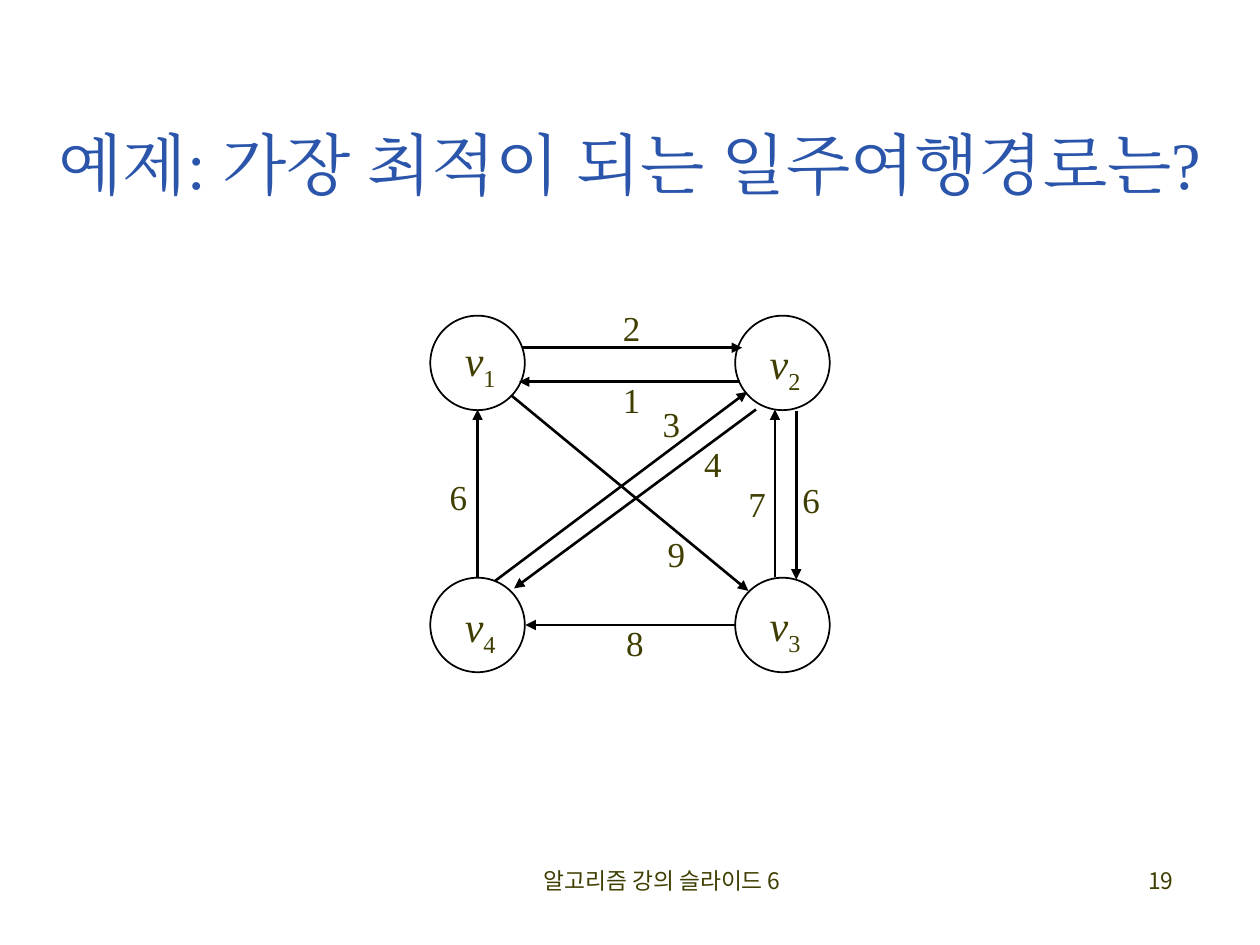
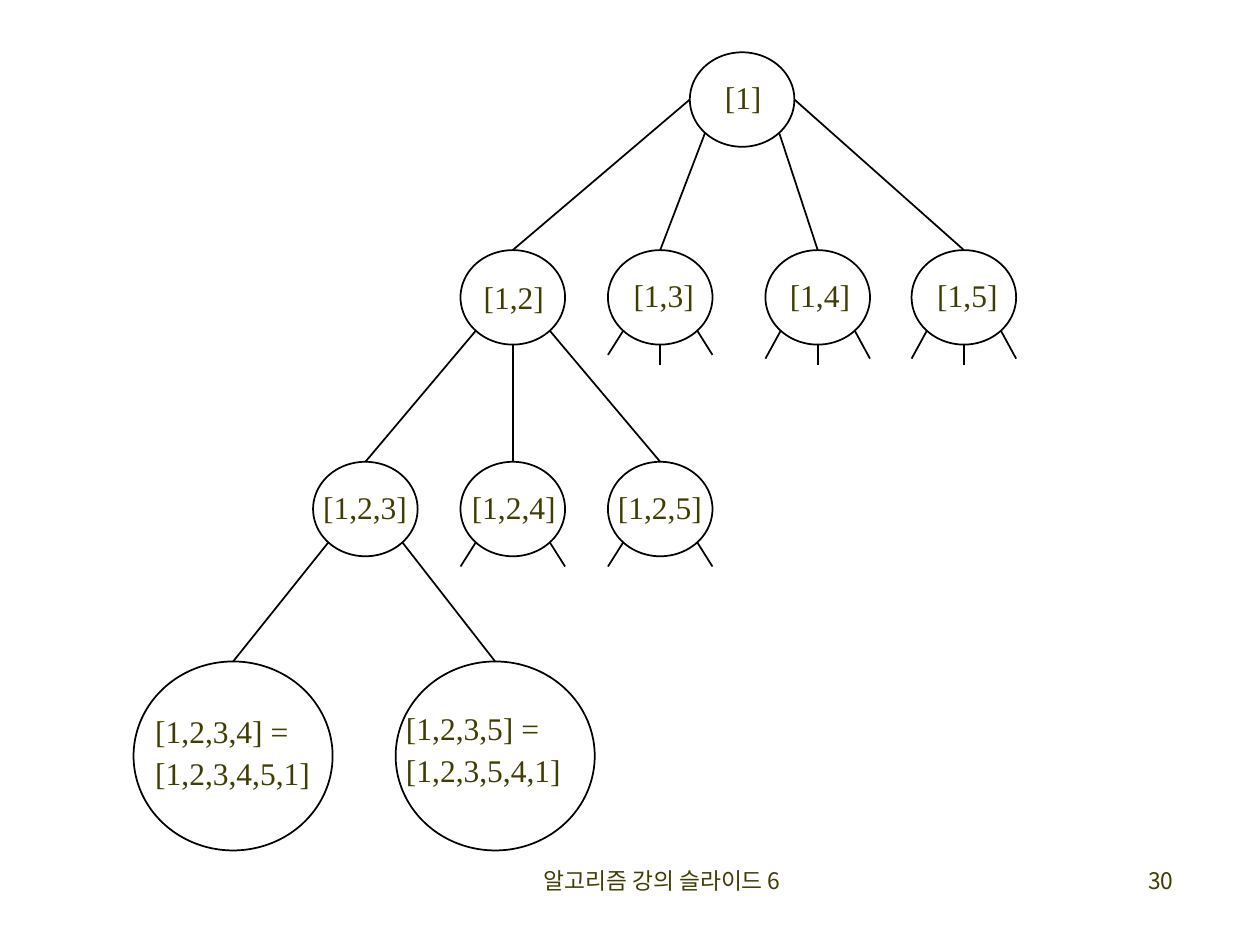
from lxml.etree import SubElement
from pptx import Presentation
from pptx.dml.color import RGBColor
from pptx.enum.shapes import MSO_CONNECTOR, MSO_SHAPE
from pptx.enum.text import MSO_ANCHOR, MSO_AUTO_SIZE, PP_ALIGN
from pptx.oxml.ns import qn
from pptx.util import Inches, Pt

# ---- Content: shared ----
W, H = 10, 7.5
COLORS = {"title": "2A55AA", "text": "3F3E00", "line": "000000"}
SERIF, SANS = "Times New Roman", "Noto Sans CJK KR"
FOOTER = "알고리즘 강의 슬라이드 6"
LABEL_SLACK = 0.15  # spare width right of a label, so that it stays on one line

# ---- Content: weighted graph ----
GRAPH_TITLE = "예제: 가장 최적이 되는 일주여행경로는?"
GRAPH_PAGE = "19"
COLS, ROWS, VERTEX_SIZE = (3.79, 6.21), (2.88, 4.96), 0.75
# vertex: column, row, label offset from the centre
VERTICES = {
    "1": (0, 0, (0.02, -0.01)),
    "2": (1, 0, (0.02, 0.01)),
    "3": (1, 1, (0.02, 0.01)),
    "4": (0, 1, (0.02, 0.02)),
}
# from, to, weight, start offset, end offset, weight offset from the midpoint
EDGES = [
    ("1", "2", "2", (0.35, -0.12), (-0.32, -0.12), (0, -0.14)),
    ("2", "1", "1", (-0.34, 0.15), (0.33, 0.15), (0.02, 0.16)),
    ("3", "4", "8", (-0.38, 0), (0.38, 0), (0.04, 0.16)),
    ("4", "1", "6", (0, -0.38), (0, 0.37), (-0.15, 0.05)),
    ("1", "3", "9", (0.27, 0.26), (-0.27, -0.27), (0.37, 0.5)),
    ("4", "2", "3", (0.14, -0.35), (-0.28, 0.23), (0.4, -0.48)),
    ("2", "4", "4", (-0.21, 0.37), (0.29, -0.29), (0.62, -0.26)),
    ("3", "2", "7", (-0.06, -0.38), (-0.06, 0.37), (-0.14, 0.1)),
    ("2", "3", "6", (0.11, 0.38), (0.11, -0.36), (0.12, 0.06)),
]

# ---- Content: state space tree ----
TREE_PAGE = "30"
LEVELS = (0.79, 2.36, 4.04, 6)
NODE, LEAF = (0.83, 0.75), (1.58, 1.5)
# node: level, centre x, label offset, label lines
TREE = {
    "1": (0, 5.89, (0.01, 0), ["[1]"]),
    "12": (1, 4.07, (0.01, 0.02), ["[1,2]"]),
    "13": (1, 5.24, (0.03, 0), ["[1,3]"]),
    "14": (1, 6.49, (0.02, 0), ["[1,4]"]),
    "15": (1, 7.65, (0.03, 0), ["[1,5]"]),
    "123": (2, 2.9, (0, 0), ["[1,2,3]"]),
    "124": (2, 4.07, (0.01, 0), ["[1,2,4]"]),
    "125": (2, 5.24, (0, 0), ["[1,2,5]"]),
    "1234": (3, 1.85, (0, -0.01), ["[1,2,3,4] =", "[1,2,3,4,5,1]"]),
    "1235": (3, 3.93, (-0.09, -0.03), ["[1,2,3,5] =", "[1,2,3,5,4,1]"]),
}
# parent, child, side of the parent where the branch starts
BRANCHES = [
    ("1", "12", "w"), ("1", "13", "sw"), ("1", "14", "se"), ("1", "15", "e"),
    ("12", "123", "sw"), ("12", "124", "s"), ("12", "125", "se"),
    ("123", "1234", "sw"), ("123", "1235", "se"),
]
# node: sides with a cut-off branch, depth of the slanted ones
STUBS = {
    "13": (("sw", "s", "se"), 0.19),
    "14": (("sw", "s", "se"), 0.22),
    "15": (("sw", "s", "se"), 0.22),
    "124": (("sw", "se"), 0.19),
    "125": (("sw", "se"), 0.19),
}
SIDES = {"w": (-1, 0), "sw": (-0.71, 0.71), "s": (0, 1), "se": (0.71, 0.71), "e": (1, 0)}


# ---- Helpers ----
def rgb(name):
    return RGBColor.from_string(COLORS[name])


def shift(point, offset):
    return point[0] + offset[0], point[1] + offset[1]


def box(center, size):
    """Left, top, width and height of a box about its centre."""
    (x, y), (w, h) = center, size
    return [Inches(v) for v in (x - w / 2, y - h / 2, w, h)]


def add_run(p, text, size, font=SERIF, color="text"):
    r = p.add_run()
    r.text = text
    r.font.size, r.font.name = Pt(size), font
    r.font.color.rgb = rgb(color)
    SubElement(r._r.get_or_add_rPr(), qn("a:ea")).set("typeface", font)
    return r


def add_label(s, center, size, lines, pt):
    """Left-aligned label; each line is a list of runs (text, style)."""
    left, top, width, height = box(center, size)
    sp = s.shapes.add_textbox(left, top, width + Inches(LABEL_SLACK), height)
    tf = sp.text_frame
    tf.word_wrap = True
    for i, runs in enumerate(lines):
        p = tf.add_paragraph() if i else tf.paragraphs[0]
        p.line_spacing, p.space_before = 0.9, Pt(pt / 4)
        for text, style in runs:
            r = add_run(p, text, pt)
            if style == "italic":
                r.font.italic = True
            elif style == "sub":
                r.font._element.set("baseline", "-25000")


def add_circle(s, center, size):
    sp = s.shapes.add_shape(MSO_SHAPE.OVAL, *box(center, size))
    sp.shadow.inherit = False
    sp.fill.background()
    sp.line.color.rgb, sp.line.width = rgb("line"), Pt(1)


def add_line(s, start, end, width=1, arrow=False):
    points = [Inches(v) for v in (*start, *end)]
    cn = s.shapes.add_connector(MSO_CONNECTOR.STRAIGHT, *points)
    cn.line.color.rgb, cn.line.width = rgb("line"), Pt(width)
    if arrow:
        SubElement(cn.line._get_or_add_ln(), qn("a:tailEnd")).set("type", "triangle")
    SubElement(cn._element.spPr, qn("a:effectLst"))


def add_footer(s, page):
    for x, w, text, align in ((3.67, 3.17, FOOTER, PP_ALIGN.CENTER),
                              (7.33, 2.08, page, PP_ALIGN.RIGHT)):
        tf = s.shapes.add_textbox(Inches(x), Inches(6.83), Inches(w), Inches(0.5)).text_frame
        tf.word_wrap = True
        p = tf.paragraphs[0]
        p.alignment = align
        add_run(p, text, 13, SANS)


def add_title(s, text):
    sp = s.shapes.title
    sp.left, sp.top, sp.width, sp.height = box((W / 2, 1.29), (9.67, 1.25))
    tf = sp.text_frame
    tf.word_wrap, tf.auto_size = True, MSO_AUTO_SIZE.NONE
    tf.vertical_anchor = MSO_ANCHOR.MIDDLE
    p = tf.paragraphs[0]
    p.alignment = PP_ALIGN.CENTER
    add_run(p, text, 38, SERIF, "title")


# ---- Slides ----
def build_graph(prs):
    s = prs.slides.add_slide(prs.slide_layouts[5])
    add_title(s, GRAPH_TITLE)
    add_footer(s, GRAPH_PAGE)
    centers = {v: (COLS[col], ROWS[row]) for v, (col, row, _) in VERTICES.items()}
    for v, (_, _, offset) in VERTICES.items():
        add_circle(s, centers[v], (VERTEX_SIZE, VERTEX_SIZE))
        add_label(s, shift(centers[v], offset), (0.44, 0.51),
                  [[("v", "italic"), (v, "sub")]], 24)
    for a, b, weight, leave, arrive, offset in EDGES:
        start, end = shift(centers[a], leave), shift(centers[b], arrive)
        middle = (start[0] + end[0]) / 2, (start[1] + end[1]) / 2
        add_line(s, start, end, 1.5, arrow=True)
        add_label(s, shift(middle, offset), (0.34, 0.4), [[(weight, None)]], 20)


def build_tree(prs):
    s = prs.slides.add_slide(prs.slide_layouts[6])
    add_footer(s, TREE_PAGE)

    def center(node):
        return TREE[node][1], LEVELS[TREE[node][0]]

    def size(node):
        return LEAF if TREE[node][0] == 3 else NODE

    def rim(node, side):
        (dx, dy), (w, h) = SIDES[side], size(node)
        return shift(center(node), (dx * w / 2, dy * h / 2))

    # Branches, then cut-off branches
    for parent, child, side in BRANCHES:
        x, y = center(child)
        add_line(s, rim(parent, side), (x, y - size(child)[1] / 2))
    for node, (sides, depth) in STUBS.items():
        for side in sides:
            tip = {"sw": (-0.12, depth), "s": (0, 0.16), "se": (0.12, depth)}[side]
            start = rim(node, side)
            add_line(s, start, shift(start, tip))

    # Nodes and labels
    for node, (_, _, offset, lines) in TREE.items():
        add_circle(s, center(node), size(node))
        label_size = 0.21 + 0.094 * len(lines[-1]), 0.03 + 0.34 * len(lines)
        add_label(s, shift(center(node), offset), label_size,
                  [[(line, None)] for line in lines], 18)


def main():
    prs = Presentation()
    prs.slide_width, prs.slide_height = Inches(W), Inches(H)
    build_graph(prs)
    build_tree(prs)
    prs.save("out.pptx")


if __name__ == "__main__":
    main()
